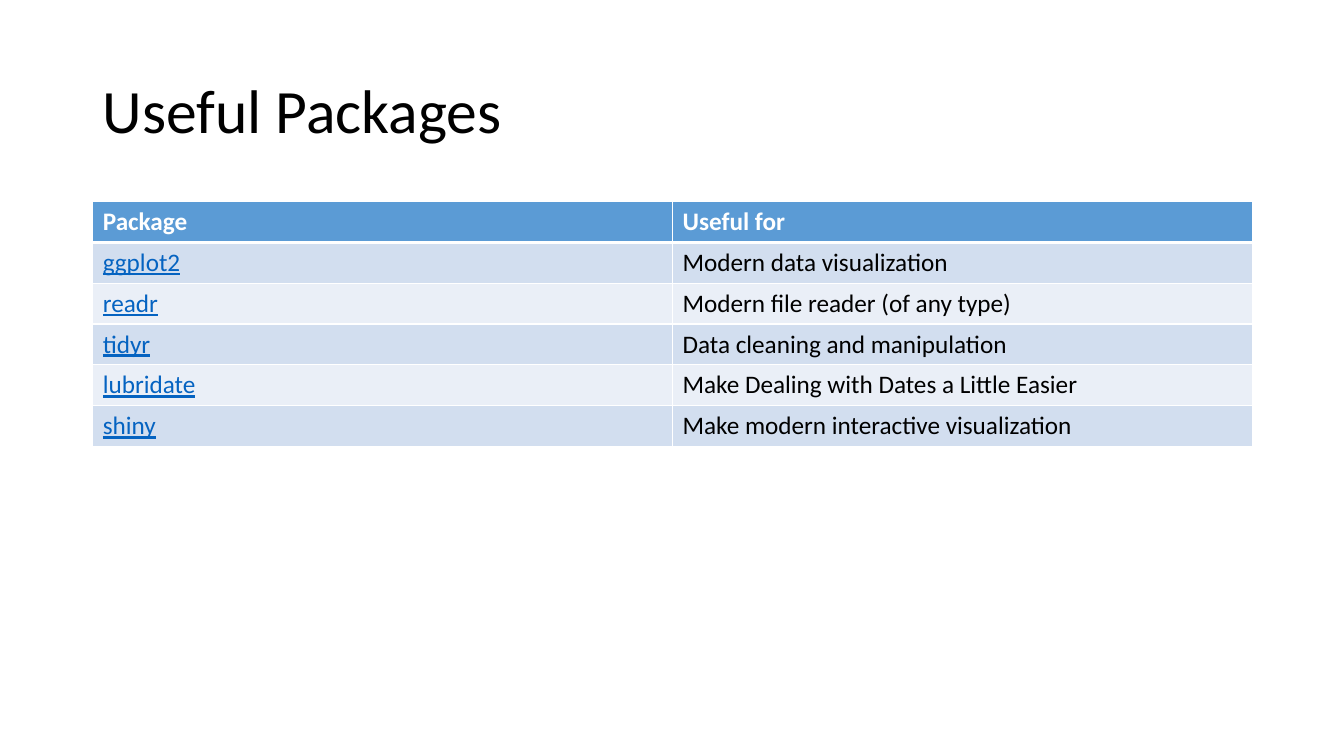
from dataclasses import dataclass

from lxml import etree
from pptx import Presentation
from pptx import util as u
from pptx.dml.color import RGBColor
from pptx.enum import text
from pptx.oxml.ns import qn


@dataclass(frozen=True)
class Theme:
    font: str = "Calibri"
    title_size: int = 44
    table_size: int = 18
    ink: str = "000000"
    white: str = "FFFFFF"
    link: str = "0563C1"
    header: str = "5B9BD5"
    bands: tuple[str, str] = ("D2DEEF", "EAEFF7")
    rule: float = 1
    header_rule: float = 3


@dataclass(frozen=True)
class Package:
    name: str
    use: str


THEME = Theme()
LEFT, WIDTH = 0.92, 11.5
TITLE_TOP, TITLE_HEIGHT = 0.4, 1.45
TABLE_TOP, TABLE_HEIGHT = 2, 2.43

HEADER = Package("Package", "Useful for")
PACKAGES = [
    Package("ggplot2", "Modern data visualization"),
    Package("readr", "Modern file reader (of any type)"),
    Package("tidyr", "Data cleaning and manipulation"),
    Package("lubridate", "Make Dealing with Dates a Little Easier"),
    Package("shiny", "Make modern interactive visualization"),
]


def write(tf, words: str, *, size: int = THEME.table_size, color: str = THEME.ink,
          bold: bool = False, underline: bool = False, spacing: float = 1.0) -> None:
    """Put one formatted run in the first paragraph of a text frame."""
    p = tf.paragraphs[0]
    p.line_spacing = spacing
    r = p.add_run()
    r.text = words
    r.font.name = THEME.font
    r.font.size = u.Pt(size)
    r.font.bold = bold
    r.font.underline = underline
    r.font.color.rgb = RGBColor.from_string(color)


def set_borders(cell, top: float, bottom: float) -> None:
    """Draw white rules on all four sides; widths are in points."""
    tc_pr = cell._tc.get_or_add_tcPr()
    widths = {"L": THEME.rule, "R": THEME.rule, "T": top, "B": bottom}
    for side, width in widths.items():
        ln = etree.SubElement(tc_pr, qn(f"a:ln{side}"), w=str(u.Pt(width)))
        fill = etree.SubElement(ln, qn("a:solidFill"))
        etree.SubElement(fill, qn("a:srgbClr"), val=THEME.white)


def add_title(s, words: str) -> None:
    sp = s.shapes.add_textbox(u.Inches(LEFT), u.Inches(TITLE_TOP),
                              u.Inches(WIDTH), u.Inches(TITLE_HEIGHT))
    tf = sp.text_frame
    tf.word_wrap = True
    tf.vertical_anchor = text.MSO_ANCHOR.MIDDLE
    write(tf, words, size=THEME.title_size, spacing=0.9)


def add_package_table(s, packages: list[Package]) -> None:
    rows = [HEADER, *packages]
    tbl = s.shapes.add_table(len(rows), 2, u.Inches(LEFT), u.Inches(TABLE_TOP),
                             u.Inches(WIDTH), u.Inches(TABLE_HEIGHT)).table
    for i, row in enumerate(rows):
        is_header = i == 0
        for j, words in enumerate((row.name, row.use)):
            cell = tbl.cell(i, j)
            is_link = not is_header and j == 0

            # Rules come before the fill in the cell properties
            set_borders(cell,
                        top=THEME.header_rule if i == 1 else THEME.rule,
                        bottom=THEME.header_rule if is_header else THEME.rule)
            cell.fill.solid()
            cell.fill.fore_color.rgb = RGBColor.from_string(
                THEME.header if is_header else THEME.bands[(i - 1) % 2])

            color = THEME.white if is_header else THEME.link if is_link else THEME.ink
            write(cell.text_frame, words, color=color, bold=is_header, underline=is_link)


def main() -> None:
    prs = Presentation()
    prs.slide_width, prs.slide_height = u.Inches(13.33), u.Inches(7.5)
    s = prs.slides.add_slide(prs.slide_layouts[6])

    # Heading and table of packages
    add_title(s, "Useful Packages")
    add_package_table(s, PACKAGES)

    prs.save("out.pptx")


if __name__ == "__main__":
    main()
